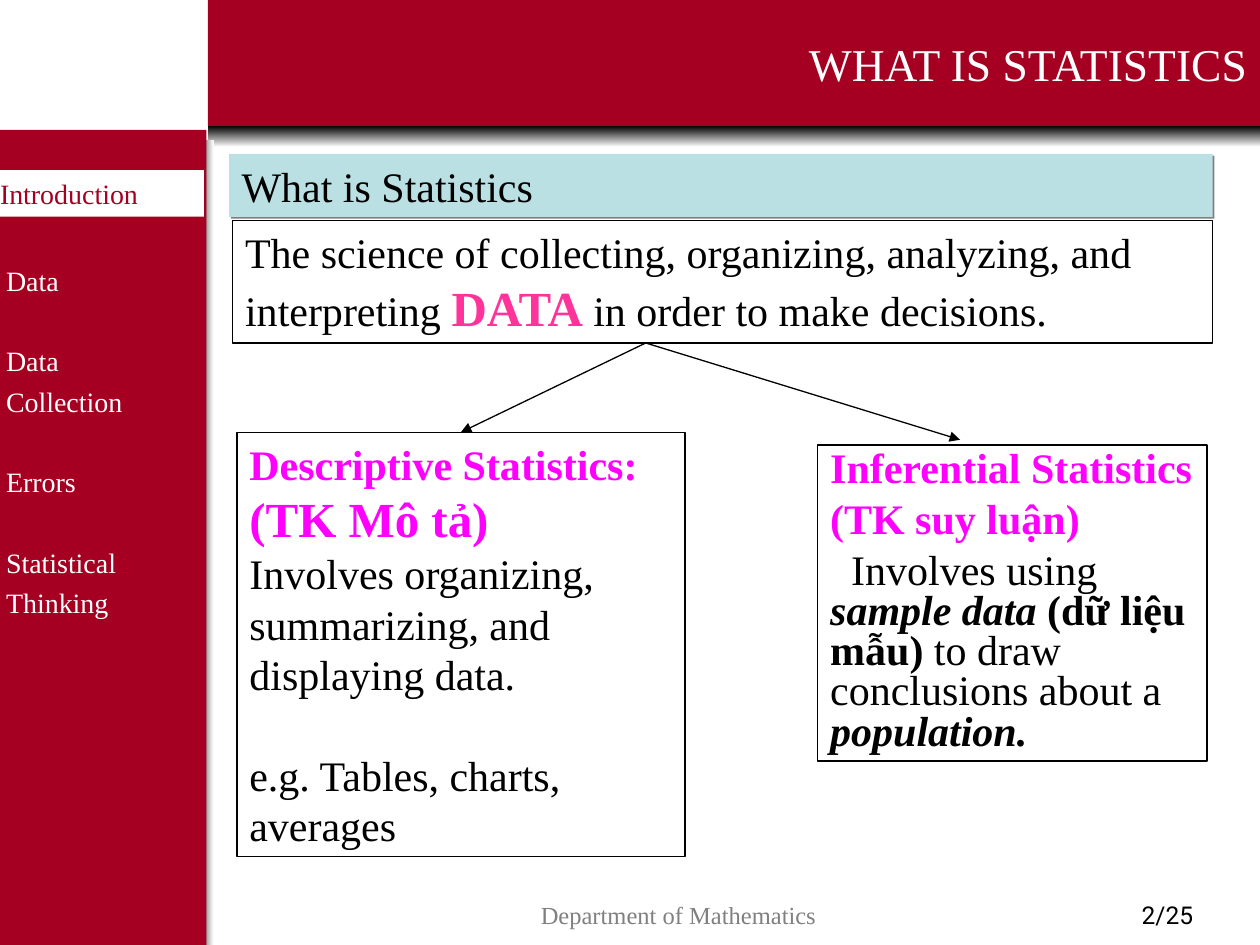
from collections import namedtuple

from lxml.etree import SubElement
from pptx import Presentation
from pptx.dml.color import RGBColor
from pptx.enum.shapes import MSO_CONNECTOR as Line, MSO_SHAPE as Preset
from pptx.enum.text import MSO_ANCHOR as Anchor, MSO_AUTO_SIZE as Fit, PP_ALIGN as Align
from pptx.oxml.ns import qn
from pptx.util import Pt

RED = RGBColor(0xA5, 0x00, 0x21)
WHITE = RGBColor(0xFF, 0xFF, 0xFF)
BLACK = RGBColor(0x00, 0x00, 0x00)
GRAY = RGBColor(0x80, 0x80, 0x80)
PALE_BLUE = RGBColor(0xBB, 0xE0, 0xE3)
PINK = RGBColor(0xFF, 0x33, 0x99)
MAGENTA = RGBColor(0xFF, 0x00, 0xFF)
SERIF = "Times New Roman"

Box = namedtuple("Box", "left top width height")
BODY = {"size": Pt(24), "name": SERIF, "color": BLACK}
BOLD = {**BODY, "bold": True}
TERM = {**BOLD, "italic": True}
HEAD = {**BOLD, "color": MAGENTA}
MENU = {"size": Pt(16), "name": SERIF, "color": WHITE}


def points(*lengths):
    """Convert plain numbers to point lengths."""
    return [Pt(length) for length in lengths]


def write(frame, paragraphs, anchor=Anchor.TOP, inset=7.2):
    """Fill a text frame with (runs, paragraph format) pairs."""
    frame_format = {
        "word_wrap": True, "auto_size": Fit.NONE, "vertical_anchor": anchor,
        "margin_left": Pt(inset), "margin_right": Pt(inset),
        "margin_top": Pt(3.6), "margin_bottom": Pt(3.6),
    }
    for key, value in frame_format.items():
        setattr(frame, key, value)
    for index, (runs, layout) in enumerate(paragraphs):
        paragraph = frame.add_paragraph() if index else frame.paragraphs[0]
        for key, value in {"alignment": Align.LEFT, **layout}.items():
            setattr(paragraph, key, value)
        for text, style in runs:
            run = paragraph.add_run()
            run.text = text
            for key, value in style.items():
                if key == "color":
                    run.font.color.rgb = value
                else:
                    setattr(run.font, key, value)


def add_panel(slide, box, fill=None, outline=None):
    """Add a flat rectangle with an optional fill and outline."""
    panel = slide.shapes.add_shape(Preset.RECTANGLE, *points(*box))
    panel.shadow.inherit = False
    if fill is None:
        panel.fill.background()
    else:
        panel.fill.solid()
        panel.fill.fore_color.rgb = fill
    if outline is None:
        panel.line.fill.background()
    else:
        panel.line.color.rgb = outline
        panel.line.width = Pt(0.75)
    return panel


def add_edge_shade(slide, box, angle):
    """Add a black-to-white gradient strip."""
    shade = add_panel(slide, box, WHITE)
    shade.fill.gradient()
    shade.fill.gradient_angle = angle
    for stop, color in zip(shade.fill.gradient_stops, (BLACK, WHITE)):
        stop.color.rgb = color


def add_title(slide, box):
    """Format the title placeholder as the red banner with its shade."""
    title = slide.shapes.title
    title.left, title.top, title.width, title.height = points(*box)
    title.fill.solid()
    title.fill.fore_color.rgb = RED
    style = {"size": Pt(26), "name": SERIF, "color": WHITE}
    write(title.text_frame, [([("WHAT IS STATISTICS", style)], {"alignment": Align.RIGHT})],
          Anchor.MIDDLE)
    add_edge_shade(slide, Box(box.left, box.top + box.height, box.width, 12), 270)


def add_sidebar(slide, box):
    """Add the section menu with the current section highlighted."""
    add_edge_shade(slide, Box(box.left + 111, box.top + 6, 11, box.height - 6), 0)
    add_panel(slide, box, RED)
    menu = slide.shapes.add_textbox(*points(box.left - 3.6, box.top + 69, 111, 257))
    sections = ["Data", "Data Collection", "Errors", "Statistical Thinking"]
    write(menu.text_frame, [
        ([(section, MENU)], {"line_spacing": 1.2, "space_before": Pt(23 if index else 0)})
        for index, section in enumerate(sections)
    ])
    current = add_panel(slide, Box(box.left, box.top + 23, 116.6, 26.6), WHITE)
    write(current.text_frame, [([("Introduction", {**MENU, "color": RED})], {})], inset=0)


def add_definition(slide, box):
    """Add the shaded heading and the definition below it."""
    heading = add_panel(slide, Box(box.left, box.top, box.width, 36), PALE_BLUE)
    effects = heading._element.spPr.find(qn("a:effectLst"))
    shadow = SubElement(effects, qn("a:outerShdw"), dist=str(Pt(1.4)), dir="2700000")
    SubElement(shadow, qn("a:srgbClr"), val=str(GRAY))
    write(heading.text_frame, [([("What is Statistics", BODY)], {"space_before": Pt(15)})])

    definition = add_panel(slide, Box(box.left + 2, box.top + 38, box.width - 2, 70),
                           outline=BLACK)
    write(definition.text_frame, [([
        ("The science of collecting, organizing, analyzing, and interpreting ", BODY),
        ("DATA", {**BOLD, "size": Pt(28), "color": PINK}),
        (" in order to make decisions.", BODY),
    ], {"space_before": Pt(6)})])


def add_descriptive(slide, box):
    """Add the descriptive statistics branch."""
    branch = add_panel(slide, box, outline=BLACK)
    write(branch.text_frame, [
        ([("Descriptive Statistics:", HEAD)], {}),
        ([("(TK Mô tả)", {**HEAD, "size": Pt(28)})], {}),
        ([("Involves organizing, summarizing, and displaying data.", BODY)], {}),
        ([("e.g. Tables, charts, averages", BODY)], {"space_before": Pt(28.8)}),
    ])
    return branch


def add_inferential(slide, box):
    """Add the inferential statistics branch."""
    branch = add_panel(slide, box, outline=BLACK)
    layout = {"line_spacing": 0.8, "space_before": Pt(6)}
    write(branch.text_frame, [
        ([("Inferential Statistics", HEAD)], layout),
        ([("(TK suy luận)", HEAD)], layout),
        ([
            ("Involves using ", BODY),
            ("sample data", TERM),
            (" (dữ liệu mẫu) ", BOLD),
            ("to draw conclusions about a ", BODY),
            ("population.", TERM),
        ], layout),
    ])
    involves = branch.text_frame.paragraphs[-1]
    involves._p.get_or_add_pPr().set("indent", str(Pt(12)))


def add_arrow(slide, start, end):
    """Add a thin black arrow between two points."""
    arrow = slide.shapes.add_connector(Line.STRAIGHT, *points(*start, *end))
    arrow.line.color.rgb = BLACK
    arrow.line.width = Pt(0.75)
    SubElement(arrow.line._get_or_add_ln(), qn("a:tailEnd"), type="triangle")
    SubElement(arrow._element.spPr, qn("a:effectLst"))
    return arrow


def add_footer(slide, box):
    """Add the department name and the page count."""
    parts = [
        ("Department of Mathematics", 0, 438.5, SERIF, GRAY),
        ("2/25", 445.7, 105.8, "Roboto", BLACK),
    ]
    for text, offset, width, font, color in parts:
        note = slide.shapes.add_textbox(*points(box.left + offset, box.top, width, box.height))
        style = {"size": Pt(14), "name": font, "color": color}
        write(note.text_frame, [([(text, style)], {"alignment": Align.CENTER})])


def main():
    """Build and save the slide."""
    deck = Presentation()
    deck.slide_width, deck.slide_height = points(720, 540)
    slide = deck.slides.add_slide(deck.slide_layouts[5])
    add_title(slide, Box(118.8, 0, 601.2, 72))
    add_sidebar(slide, Box(0, 74.2, 118, 465.8))
    add_footer(slide, Box(168.5, 510.5, 551.5, 29.5))
    add_definition(slide, Box(131, 88, 562, 108))
    descriptive = add_descriptive(slide, Box(135.4, 247, 256, 242.6))
    add_inferential(slide, Box(467.3, 254.2, 222.5, 180.7))
    add_arrow(slide, (369, 196), (263.4, 247)).end_connect(descriptive, 0)
    add_arrow(slide, (369, 196), (548.6, 251.3))
    deck.save("out.pptx")


if __name__ == "__main__":
    main()
